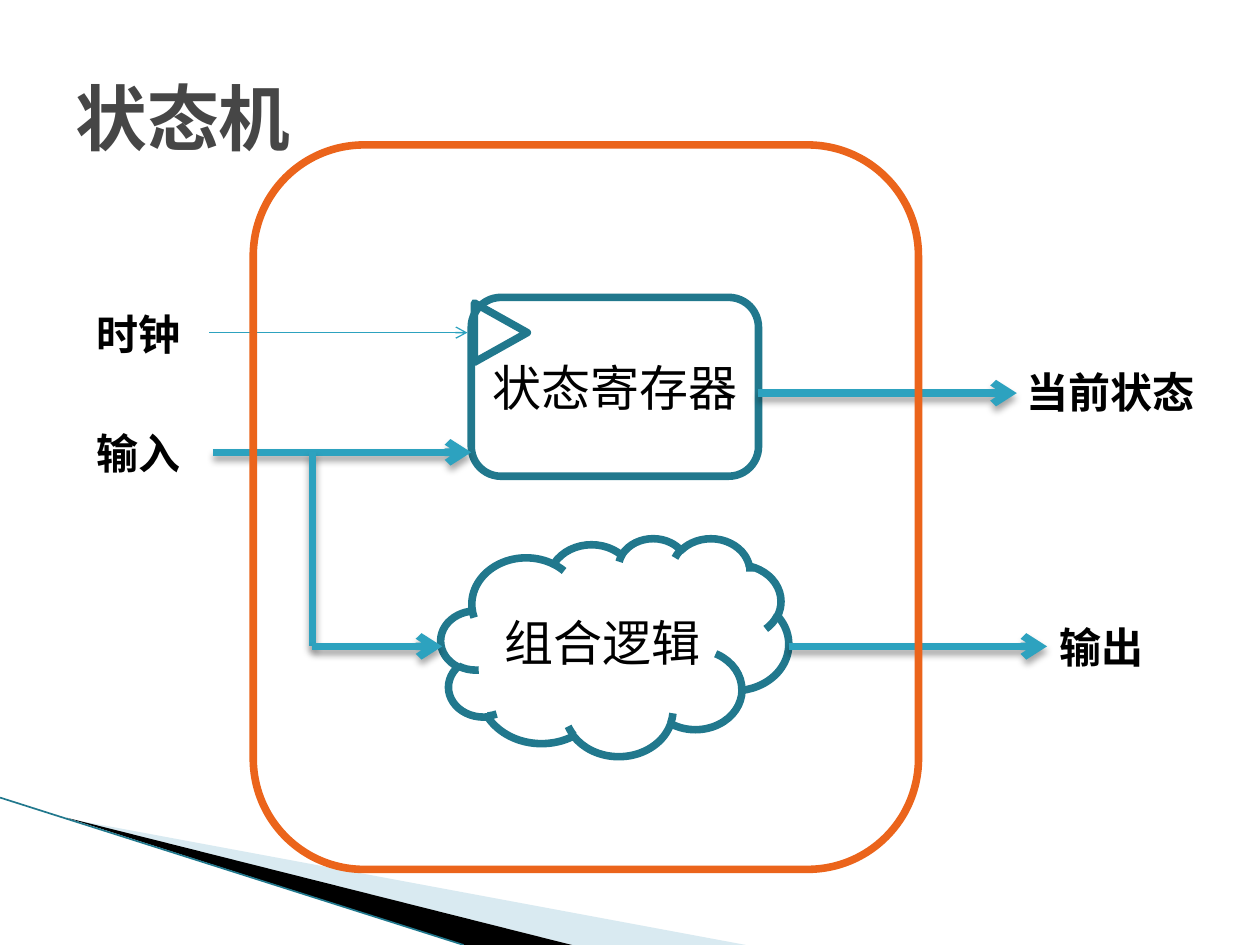
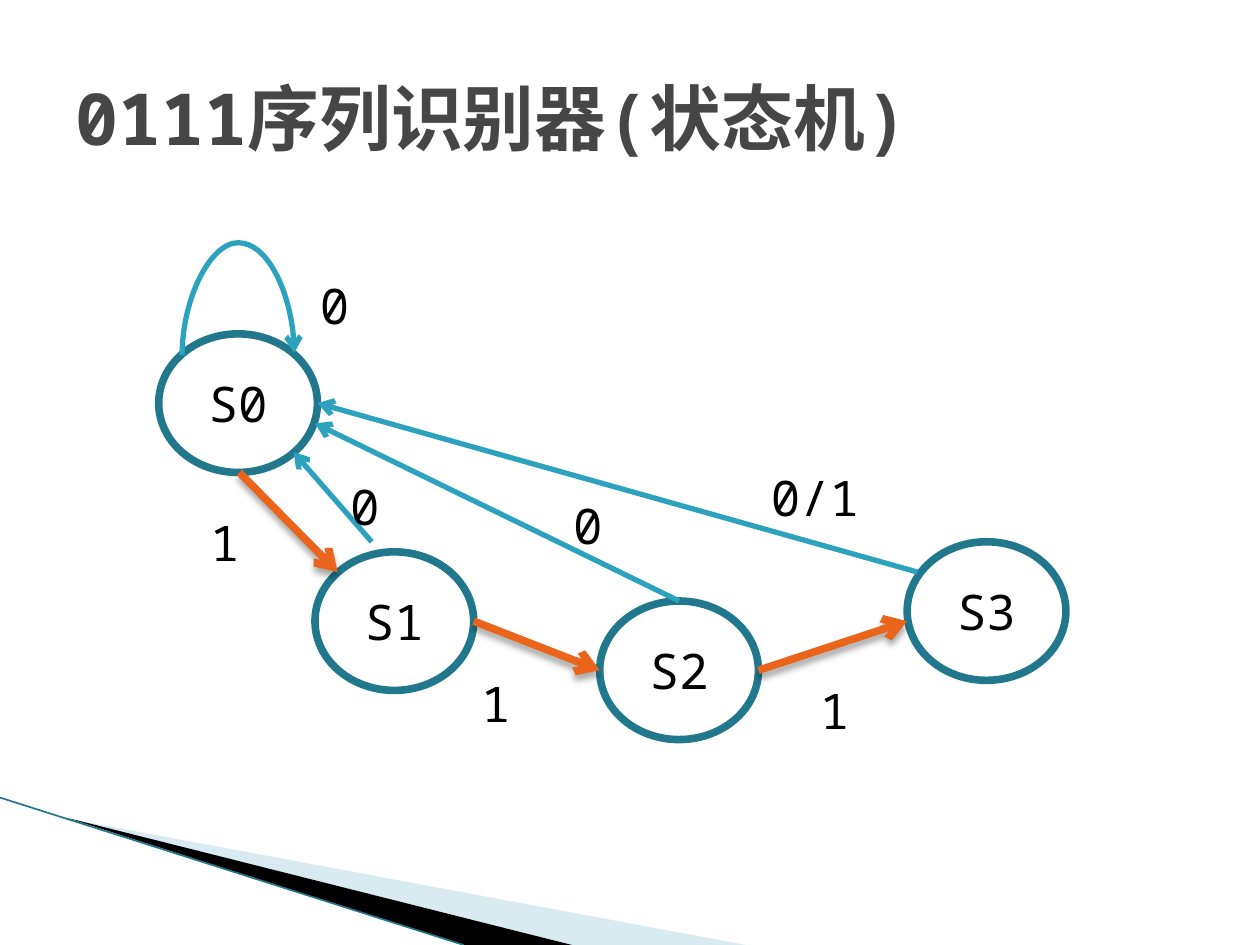
from dataclasses import dataclass

from lxml.etree import SubElement
from pptx import Presentation
from pptx.dml.color import RGBColor
from pptx.enum.shapes import MSO_CONNECTOR, MSO_SHAPE
from pptx.enum.text import MSO_ANCHOR, MSO_AUTO_SIZE, PP_ALIGN
from pptx.oxml.ns import qn
from pptx.util import Inches, Pt


@dataclass(frozen=True)
class Theme:
    font: str = "Noto Sans Mono"
    title: str = "464646"
    ink: str = "000000"
    outline: str = "21788D"
    arrow: str = "2DA2BF"
    accent: str = "EB641B"
    wedge: str = "A0CBDC"
    title_pt: float = 41
    node_pt: float = 28
    label_pt: float = 24
    heavy: float = 4.33
    medium: float = 3
    thin: float = 0.75
    edge: float = 0.95


T = Theme()
NODE_W, NODE_H = 1.26, 1.1


def rgb(color):
    return RGBColor.from_string(color)


# Text
def write(s, text, size, color=T.ink, bold=False, align=None, anchor=MSO_ANCHOR.TOP):
    tf = s.text_frame
    tf.word_wrap = True
    tf.vertical_anchor = anchor
    p = tf.paragraphs[0]
    if align is not None:
        p.alignment = align
    r = p.add_run()
    r.text = text
    r.font.name = T.font
    r.font.size = Pt(size)
    r.font.bold = bold
    r.font.color.rgb = rgb(color)
    SubElement(r._r.get_or_add_rPr(), qn("a:ea"), typeface=T.font)


def add_label(slide, text, x, y, w, h, size, bold=False):
    s = slide.shapes.add_textbox(Inches(x), Inches(y), Inches(w), Inches(h))
    write(s, text, size, bold=bold)
    s.text_frame.auto_size = MSO_AUTO_SIZE.SHAPE_TO_FIT_TEXT


# Outlined shapes
def add_outline(slide, kind, x, y, w, h, text=None, color=T.outline):
    s = slide.shapes.add_shape(kind, Inches(x), Inches(y), Inches(w), Inches(h))
    s.shadow.inherit = False
    s.fill.background()
    s.line.color.rgb = rgb(color)
    s.line.width = Pt(T.heavy)
    if text:
        write(s, text, T.node_pt, align=PP_ALIGN.CENTER, anchor=MSO_ANCHOR.MIDDLE)
    return s


# Lines and arrows
def add_line(slide, start, end, color=T.arrow, width=T.heavy, head=True,
             shadow=False, kind=MSO_CONNECTOR.STRAIGHT):
    s = slide.shapes.add_connector(kind, *(Inches(v) for v in (*start, *end)))
    s.line.color.rgb = rgb(color)
    s.line.width = Pt(width)
    if head:
        SubElement(s.line._get_or_add_ln(), qn("a:tailEnd"), type="arrow")
    effects = SubElement(s._element.spPr, qn("a:effectLst"))
    if shadow:
        outer = SubElement(effects, qn("a:outerShdw"), blurRad=str(Pt(4)),
                           dist=str(Pt(3)), dir="5400000", rotWithShape="0")
        black = SubElement(outer, qn("a:srgbClr"), val=T.ink)
        SubElement(black, qn("a:alpha"), val="35000")
    return s


def add_self_loop(slide, center, span, rise):
    """Curved arrow that leaves upward and comes back span inches to the right."""
    cx, cy = center
    drop = 0.02
    s = add_line(slide, (cx + drop / 2, cy + span / 2), (cx - drop / 2, cy - span / 2),
                 width=T.medium, kind=MSO_CONNECTOR.CURVE)
    sp = s._element.spPr
    sp.find(qn("a:xfrm")).set("rot", "5400000")
    guides = sp.find(qn("a:prstGeom")).get_or_add_avLst()
    SubElement(guides, qn("a:gd"), name="adj1", fmla=f"val {round(rise / drop * 100000)}")


# Shared slide frame
def add_wedge(slide, points, color, alpha=None):
    pts = [(Inches(x), Inches(y)) for x, y in points]
    builder = slide.shapes.build_freeform(*pts[0], scale=1.0)
    builder.add_line_segments(pts[1:], close=True)
    s = builder.convert_to_shape()
    s.shadow.inherit = False
    s.fill.solid()
    s.fill.fore_color.rgb = rgb(color)
    s.line.fill.background()
    if alpha:
        clr = s._element.spPr.find(qn("a:solidFill")).find(qn("a:srgbClr"))
        SubElement(clr, qn("a:alpha"), val=str(alpha * 1000))


def new_slide(prs, title):
    slide = prs.slides.add_slide(prs.slide_layouts[6])
    add_wedge(slide, [(0.55, 6.5), (5.92, 7.5), (4.54, 7.5)], T.wedge, alpha=40)
    add_wedge(slide, [(0.53, 6.49), (4.54, 7.5), (3.68, 7.5)], T.ink)
    add_line(slide, (0, 6.33), (3.68, 7.5), T.outline, T.edge, head=False)
    s = slide.shapes.add_textbox(Inches(0.5), Inches(0.3), Inches(9), Inches(1.25))
    write(s, title, T.title_pt, T.title, bold=True, anchor=MSO_ANCHOR.MIDDLE)
    return slide


# Slide 1: block diagram of a state machine
def build_block_diagram(prs):
    slide = new_slide(prs, "状态机")
    input_y, logic_y, state_y, clock_y, branch_x = 3.59, 5.13, 3.12, 2.64, 2.48

    add_outline(slide, MSO_SHAPE.CLOUD, 3.5, 4.27, 2.76, 1.73, "组合逻辑")
    add_outline(slide, MSO_SHAPE.ROUNDED_RECTANGLE, 3.74, 2.36, 2.28, 1.42, "状态寄存器")
    add_line(slide, (1.66, clock_y), (3.71, clock_y), width=T.thin)
    clock_mark = add_outline(slide, MSO_SHAPE.ISOSCELES_TRIANGLE, 3.74, 2.43, 0.47, 0.42)
    clock_mark.rotation = 90

    for start, end, head in [
        ((1.69, input_y), (3.74, input_y), True),
        ((branch_x, input_y), (branch_x, logic_y), False),
        ((branch_x, logic_y), (3.51, logic_y), True),
        ((6.02, state_y), (8.07, state_y), True),
        ((6.26, logic_y), (8.31, logic_y), True),
    ]:
        add_line(slide, start, end, head=head, shadow=True)

    for text, x, y in [("当前状态", 8.05, 2.86), ("输出", 8.31, 4.88),
                       ("输入", 0.67, 3.34), ("时钟", 0.67, 2.4)]:
        add_label(slide, text, x, y, 1.58, 0.5, T.label_pt, bold=True)

    add_outline(slide, MSO_SHAPE.ROUNDED_RECTANGLE, 2.01, 1.15, 5.28, 5.75, color=T.accent)


# Slide 2: state graph of the sequence detector
def build_state_graph(prs):
    slide = new_slide(prs, "0111序列识别器(状态机)")

    places = [(1.26, 2.65), (2.5, 4.38), (4.76, 4.77), (7.2, 4.3)]
    for i, (x, y) in enumerate(places):
        add_outline(slide, MSO_SHAPE.OVAL, x, y, NODE_W, NODE_H, f"S{i}")

    add_self_loop(slide, (1.89, 2.81), span=0.89, rise=0.89)
    # Forward steps
    for start, end in [((1.9, 3.75), (2.68, 4.54)), ((3.76, 4.93), (4.76, 5.32)),
                       ((6.02, 5.32), (7.2, 4.93))]:
        add_line(slide, start, end, T.accent, shadow=True)
    # Returns to S0
    for start, end in [((2.95, 4.3), (2.33, 3.59)), ((5.39, 4.77), (2.5, 3.36)),
                       ((7.28, 4.54), (2.52, 3.2))]:
        add_line(slide, start, end, width=T.medium)

    for text, x, y, w in [
        ("0", 2.44, 2.14, 0.63), ("0", 2.68, 3.73, 0.63), ("0", 4.45, 3.88, 0.63),
        ("0/1", 6.02, 3.66, 1.18),
        ("1", 1.57, 4.02, 0.63), ("1", 3.72, 5.3, 0.63), ("1", 6.41, 5.35, 0.63),
    ]:
        add_label(slide, text, x, y, w, 0.57, T.node_pt)


def main():
    prs = Presentation()
    prs.slide_width, prs.slide_height = Inches(10), Inches(7.5)
    build_block_diagram(prs)
    build_state_graph(prs)
    prs.save("out.pptx")


main()
